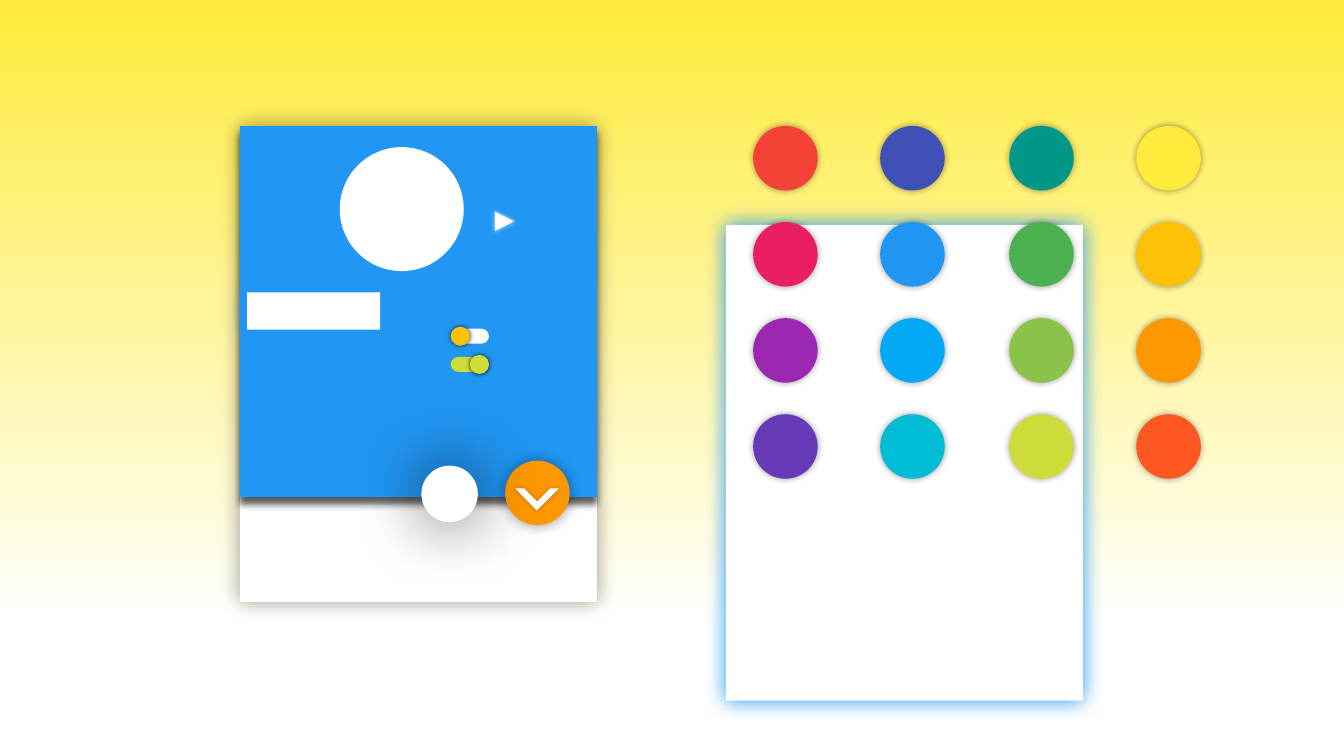
import lxml.etree
import pptx
import pptx.dml.color
import pptx.enum.shapes
import pptx.oxml.ns
import pptx.util

Inches = pptx.util.Inches
RGB = pptx.dml.color.RGBColor
SHAPE = pptx.enum.shapes.MSO_SHAPE
qn = pptx.oxml.ns.qn

WHITE = RGB(0xFF, 0xFF, 0xFF)
BLACK = RGB(0x00, 0x00, 0x00)
CHARCOAL = RGB(0x18, 0x17, 0x17)
RED = RGB(0xF4, 0x43, 0x36)
PINK = RGB(0xE9, 0x1E, 0x63)
PURPLE = RGB(0x9C, 0x27, 0xB0)
DEEP_PURPLE = RGB(0x67, 0x3A, 0xB7)
INDIGO = RGB(0x3F, 0x51, 0xB5)
BLUE = RGB(0x21, 0x96, 0xF3)
LIGHT_BLUE = RGB(0x03, 0xA9, 0xF4)
CYAN = RGB(0x00, 0xBC, 0xD4)
TEAL = RGB(0x00, 0x96, 0x88)
GREEN = RGB(0x4C, 0xAF, 0x50)
LIGHT_GREEN = RGB(0x8B, 0xC3, 0x4A)
LIME = RGB(0xCD, 0xDC, 0x39)
YELLOW = RGB(0xFF, 0xEB, 0x3B)
AMBER = RGB(0xFF, 0xC1, 0x07)
ORANGE = RGB(0xFF, 0x98, 0x00)
DEEP_ORANGE = RGB(0xFF, 0x57, 0x22)

prs = pptx.Presentation()
prs.slide_width = Inches(13.33)
prs.slide_height = Inches(7.5)
s = prs.slides.add_slide(prs.slide_layouts[6])

fill = s.background.fill
fill.gradient()
fill.gradient_angle = 270
for stop, color, position in zip(fill.gradient_stops, (YELLOW, WHITE), (0, 0.83)):
    stop.color.rgb = color
    stop.position = position


def add_shadow(sp, color, alpha, blur, dist=0):
    effects = sp._element.spPr.find(qn("a:effectLst"))
    shadow = lxml.etree.SubElement(effects, qn("a:outerShdw"))
    shadow.set("blurRad", str(pptx.util.Pt(blur)))
    shadow.set("dist", str(pptx.util.Pt(dist)))
    shadow.set("dir", "5400000" if dist else "0")
    shadow.set("algn", "ctr")
    shadow.set("rotWithShape", "0")
    clr = lxml.etree.SubElement(shadow, qn("a:srgbClr"), val=str(color))
    lxml.etree.SubElement(clr, qn("a:alpha"), val=str(alpha * 1000))


def add_part(kind, left, top, width, height, color, shadow=None, adjustments=(), rotation=0):
    sp = s.shapes.add_shape(kind, Inches(left), Inches(top), Inches(width), Inches(height))
    sp.fill.solid()
    sp.fill.fore_color.rgb = color
    sp.line.fill.background()
    sp.rotation = rotation
    for i, value in enumerate(adjustments):
        sp.adjustments[i] = value
    sp.shadow.inherit = False
    if shadow:
        add_shadow(sp, *shadow)


cards = [
    (7.2, 2.23, 4.72, WHITE, (BLUE, 100, 15)),
    (2.38, 1.25, 4.72, WHITE, (BLACK, 40, 15)),
    (2.38, 1.25, 3.68, BLUE, (CHARCOAL, 70, 5, 5)),
]
for left, top, height, color, shadow in cards:
    add_part(SHAPE.ROUNDED_RECTANGLE, left, top, 3.54, height, color, shadow, [0])

palette = [
    (7.47, [RED, PINK, PURPLE, DEEP_PURPLE]),
    (8.73, [INDIGO, BLUE, LIGHT_BLUE, CYAN]),
    (10.01, [TEAL, GREEN, LIGHT_GREEN, LIME]),
    (11.27, [YELLOW, AMBER, ORANGE, DEEP_ORANGE]),
]
for left, colors in palette:
    for row, color in enumerate(colors):
        top = 1.25 + row * 2.86 / 3
        add_part(SHAPE.OVAL, left, top, 0.64, 0.64, color, (BLACK, 40, 5))

add_part(SHAPE.OVAL, 5.01, 4.57, 0.64, 0.64, ORANGE, (BLACK, 40, 10))
add_part(SHAPE.HALF_FRAME, 5.17, 4.69, 0.31, 0.31, WHITE, (BLACK, 30, 3), [0.21, 0.2], 225.1)
add_part(SHAPE.OVAL, 4.18, 4.62, 0.56, 0.56, WHITE, (BLACK, 70, 50))

switches = [(3.26, WHITE, 4.47, AMBER), (3.54, LIME, 4.66, LIME)]
for top, track_color, knob_left, knob_color in switches:
    add_part(SHAPE.ROUNDED_RECTANGLE, 4.47, top, 0.38, 0.15, track_color, None, [0.5])
    add_part(SHAPE.OVAL, knob_left, top - 0.02, 0.19, 0.19, knob_color, (BLACK, 70, 3))

add_part(SHAPE.OVAL, 3.37, 1.46, 1.23, 1.23, WHITE)
add_part(SHAPE.ROUNDED_RECTANGLE, 2.45, 2.9, 1.32, 0.37, WHITE, (BLUE, 100, 15), [0])
add_part(SHAPE.ISOSCELES_TRIANGLE, 4.91, 2.1, 0.19, 0.19, WHITE, (WHITE, 70, 3), (), 90)

prs.save("out.pptx")
